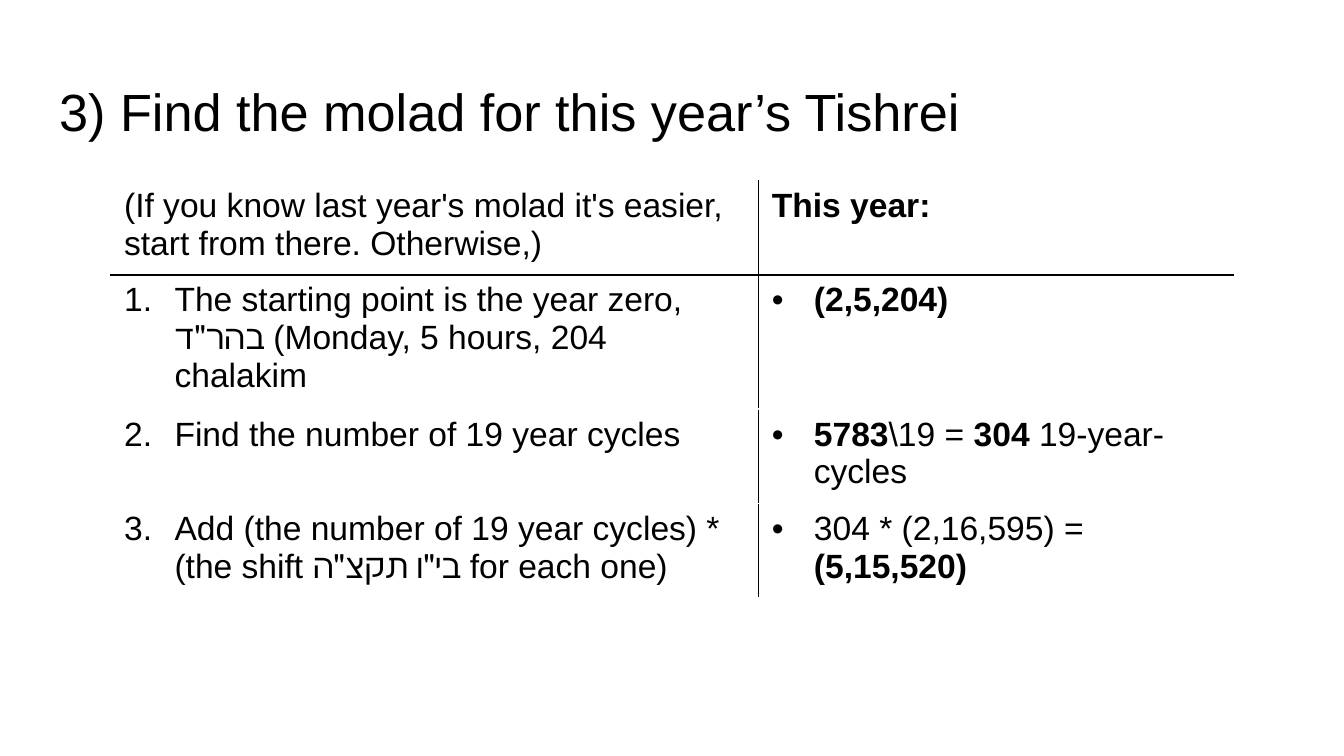
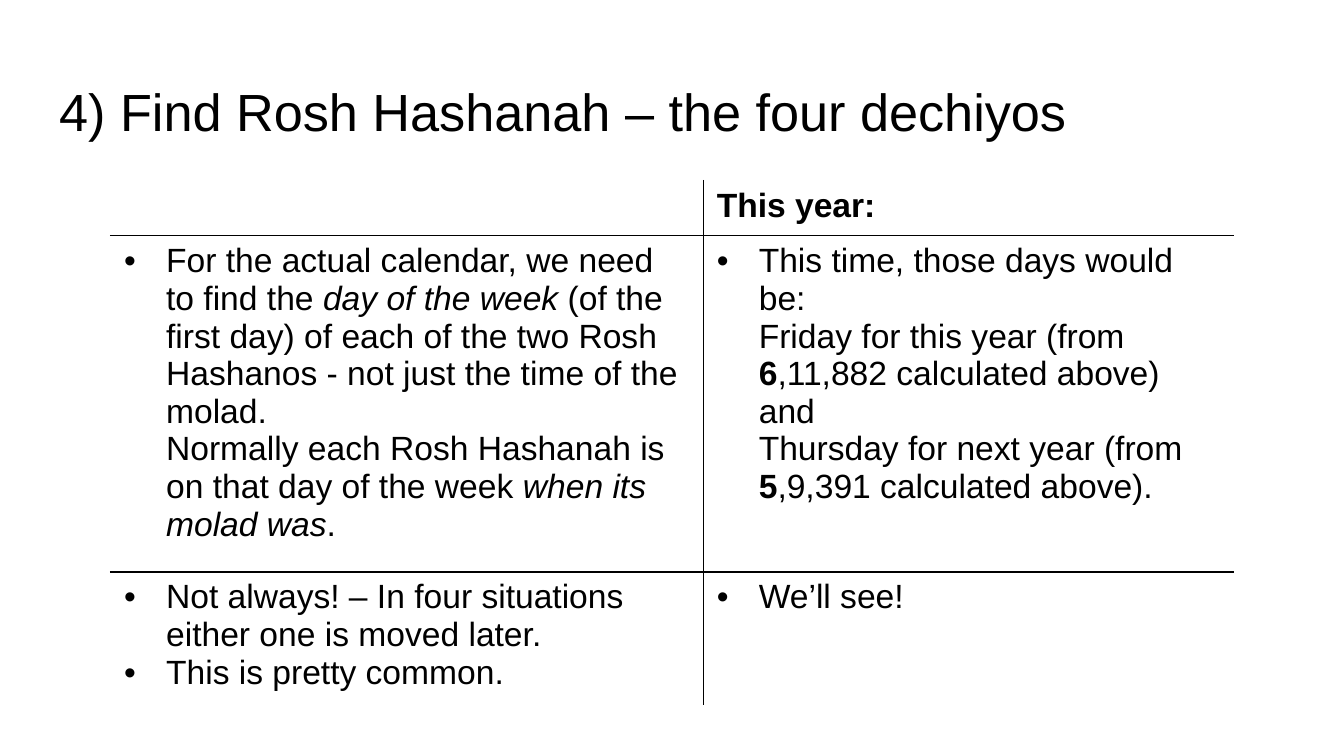
from lxml import etree
from pptx import Presentation
from pptx.dml.color import RGBColor
from pptx.enum.text import MSO_ANCHOR
from pptx.oxml.ns import qn
from pptx.util import Pt

TOP = MSO_ANCHOR.TOP
BLACK = RGBColor(0, 0, 0)
WHITE = RGBColor(255, 255, 255)
FONT = "Arial"
PLAIN = "{2D5ABB26-0587-4C30-8999-92F81FD0307C}"
BODY = 18
LEFT, HEAD, WIDTH, ROW = 59.3, 96.75, 601.2, 29.52
DOT, NUM = 22.5, 27
PAD = 7.2


def write(par, text, size=BODY, bold=False, italic=False):
    for n, line in enumerate(text.split("\n")):
        if n:
            par.add_line_break()
        if line:
            run = par.add_run()
            run.text = line
            font = run.font
            font.name, font.size = FONT, Pt(size)
            font.bold, font.italic = bold, italic
            font.color.rgb = BLACK


def bold(text):
    return text, {"bold": True}


def slant(text):
    return text, {"italic": True}


def mark(par, start=None):
    props = par._p.get_or_add_pPr()
    indent = Pt(NUM if start else DOT)
    props.set("marL", str(indent))
    props.set("indent", str(-indent))
    tint = etree.SubElement(props, qn("a:buClr"))
    etree.SubElement(tint, qn("a:srgbClr"), val=str(BLACK))
    etree.SubElement(props, qn("a:buFont"), typeface=FONT)
    if start:
        etree.SubElement(props, qn("a:buAutoNum"), type="arabicPeriod", startAt=str(start))
    else:
        etree.SubElement(props, qn("a:buChar"), char="•")


def fill(cell, items, bullet=True, start=None):
    frame = cell.text_frame
    for n, runs in enumerate(items):
        par = frame.add_paragraph() if n else frame.paragraphs[0]
        if bullet:
            mark(par, start)
        par.font.size = Pt(BODY)
        for run in runs:
            text, style = (run, {}) if isinstance(run, str) else run
            write(par, text, **style)


def edge(cell, sides):
    props = cell._tc.get_or_add_tcPr()
    for n, (side, tint) in enumerate(sides.items()):
        line = etree.Element(qn("a:ln" + side), w=str(Pt(1)))
        solid = etree.SubElement(line, qn("a:solidFill"))
        etree.SubElement(solid, qn("a:srgbClr"), val=str(tint))
        props.insert(n, line)


def title(slide, text):
    box = slide.shapes.add_textbox(Pt(24.6), Pt(35.28), Pt(671.04), Pt(45.36))
    frame = box.text_frame
    frame.word_wrap = True
    frame.vertical_anchor = TOP
    frame.margin_left = frame.margin_right = Pt(PAD)
    frame.margin_top = frame.margin_bottom = Pt(PAD)
    write(frame.paragraphs[0], text, size=28)


def grid(slide, rows, split, count=False, seams=True):
    shape = slide.shapes.add_table(
        len(rows), 2, Pt(LEFT), Pt(HEAD), Pt(WIDTH), Pt(ROW * len(rows)))
    table = shape.table
    table.first_row = table.horz_banding = False
    table._tbl.tblPr.find(qn("a:tableStyleId")).text = PLAIN
    for col, width in zip(table.columns, (split, WIDTH - split)):
        col.width = Pt(width)
    last = len(rows) - 1
    for r, row in enumerate(rows):
        for c, items in enumerate(row):
            cell = table.cell(r, c)
            cell.margin_left = cell.margin_right = Pt(PAD)
            cell.margin_top = cell.margin_bottom = Pt(PAD / 2)
            cell.fill.solid()
            cell.fill.fore_color.rgb = WHITE
            fill(cell, items, bullet=r > 0, start=r if count and c == 0 else None)
            sides = {"L": BLACK if c else WHITE, "R": WHITE if c else BLACK}
            if seams or r < 2:
                sides["T"] = BLACK if r == 1 else WHITE
            if seams or r in (0, last):
                sides["B"] = WHITE if r else BLACK
            edge(cell, sides)


def molad(slide):
    title(slide, "3) Find the molad for this year’s Tishrei")
    rows = [
        ([["(If you know last year's molad it's easier, start from there. Otherwise,)"]],
         [[bold("This year:")]]),
        ([['The starting point is the year zero, בהר"ד (Monday, 5 hours, 204 chalakim']],
         [[bold("(2,5,204)")]]),
        ([["Find the number of 19 year cycles"]],
         [[bold("5783"), "\\19 = ", bold("304"), " 19-year-cycles"]]),
        ([['Add (the number of 19 year cycles) * (the shift בי"ו תקצ"ה for each one)']],
         [["304 * (2,16,595) = ", bold("(5,15,520)")]]),
    ]
    grid(slide, rows, split=347.04, count=True)


def delays(slide):
    title(slide, "4) Find Rosh Hashanah – the four dechiyos")
    rows = [
        ([[]], [[bold("This year:")]]),
        ([["For the actual calendar, we need to find the ", slant("day of the week"),
           " (of the first day) of each of the two Rosh Hashanos - not just the time "
           "of the molad.\nNormally each Rosh Hashanah is on that day of the week ",
           slant("when its molad was"), "."]],
         [["This time, those days would be:\nFriday for this year (from ", bold("6"),
           ",11,882 calculated above)\nand\nThursday for next year (from ", bold("5"),
           ",9,391 calculated above)."]]),
        ([["Not always! – In four situations either one is moved later."],
          ["This is pretty common."]],
         [["We’ll see!"]]),
    ]
    grid(slide, rows, split=317.52, seams=False)


def main():
    deck = Presentation()
    deck.slide_width, deck.slide_height = Pt(720), Pt(405)
    for build in (molad, delays):
        build(deck.slides.add_slide(deck.slide_layouts[6]))
    deck.save("out.pptx")


if __name__ == "__main__":
    main()
